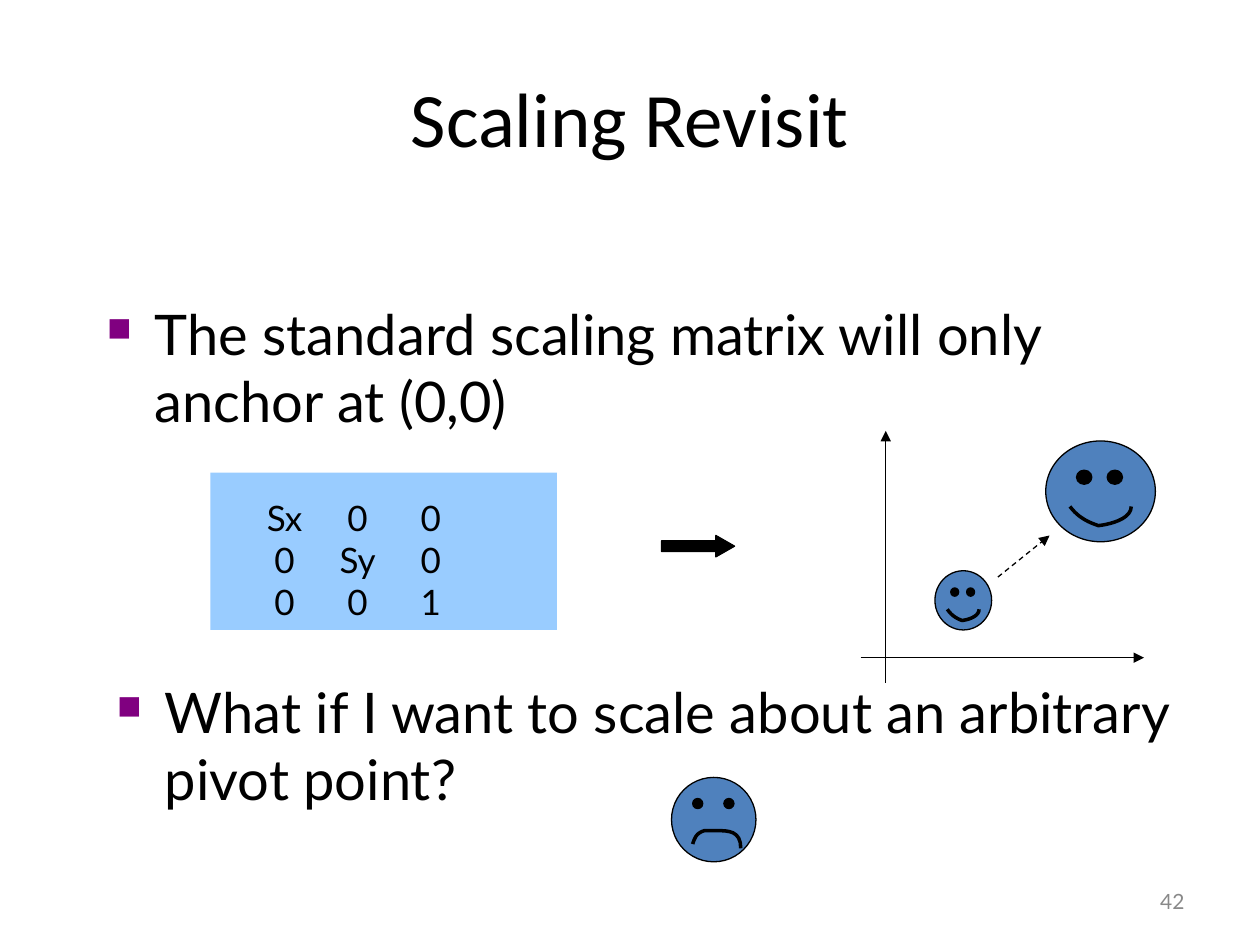
from dataclasses import dataclass

from lxml.etree import SubElement
from pptx import Presentation
from pptx.dml.color import RGBColor
from pptx.enum.dml import MSO_LINE
from pptx.enum.shapes import MSO_CONNECTOR, MSO_SHAPE
from pptx.enum.text import MSO_ANCHOR, PP_ALIGN
from pptx.oxml.ns import qn
from pptx.util import Inches, Pt


@dataclass(frozen=True)
class Theme:
    """Colours, fonts and sizes of the slide."""
    ink: RGBColor = RGBColor(0, 0, 0)
    face: RGBColor = RGBColor(0x4F, 0x81, 0xBD)
    panel: RGBColor = RGBColor(0x99, 0xCC, 0xFF)
    muted: RGBColor = RGBColor(0x89, 0x89, 0x89)
    bullet: str = "800080"
    title_font: str = "Calibri"
    body_font: str = "Lato"
    title: int = 44
    body: int = 32
    matrix: int = 20
    number: int = 12
    thin: float = 0.75
    thick: float = 2


THEME = Theme()
SMILE = [(0.22, 0.65), (0.29, 0.75), (0.37, 0.8), (0.48, 0.84),
         (0.57, 0.83), (0.78, 0.78), (0.78, 0.65)]
FROWN = [(0.25, 0.79), (0.28, 0.7), (0.3, 0.66), (0.39, 0.63),
         (0.6, 0.64), (0.82, 0.58), (0.82, 0.84)]
SMILE_EYES = (0.28, 0.56, 0.29, 0.14)
FROWN_EYES = (0.25, 0.62, 0.25, 0.12)


def add_shape(s, kind, box, fill, outlined=True):
    """Add a flat preset shape."""
    sp = s.shapes.add_shape(kind, *map(Inches, box))
    sp.shadow.inherit = False
    sp.fill.solid()
    sp.fill.fore_color.rgb = fill
    if outlined:
        sp.line.color.rgb = THEME.ink
        sp.line.width = Pt(THEME.thin)
    else:
        sp.line.fill.background()
    return sp


def add_text(s, box, text, size, font=THEME.body_font, color=THEME.ink,
             align=PP_ALIGN.LEFT, anchor=MSO_ANCHOR.TOP):
    """Add a wrapped one-paragraph text box and return its paragraph."""
    tf = s.shapes.add_textbox(*map(Inches, box)).text_frame
    tf.word_wrap = True
    tf.vertical_anchor = anchor
    p = tf.paragraphs[0]
    p.text = text
    p.alignment = align
    style(p, size, font, color)
    return p


def style(p, size, font=THEME.body_font, color=THEME.ink):
    """Set the font of a paragraph."""
    p.font.size = Pt(size)
    p.font.name = font
    p.font.color.rgb = color


def add_bullet(s, box, text):
    """Add a body statement with a hanging square bullet."""
    p = add_text(s, box, text, THEME.body)
    pPr = p._p.get_or_add_pPr()
    pPr.set("marL", str(Inches(0.38)))
    pPr.set("indent", str(-Inches(0.38)))
    clr = pPr.makeelement(qn("a:buClr"), {})
    SubElement(clr, qn("a:srgbClr"), val=THEME.bullet)
    size = pPr.makeelement(qn("a:buSzPct"), {"val": "60000"})
    char = pPr.makeelement(qn("a:buChar"), {"char": "■"})
    for i, el in enumerate((clr, size, char)):
        pPr.insert(i, el)


def add_matrix(s, box, rows):
    """Place the matrix on its panel, with columns on centred tab stops."""
    sp = add_shape(s, MSO_SHAPE.RECTANGLE, box, THEME.panel, outlined=False)
    tf = sp.text_frame
    tf.vertical_anchor = MSO_ANCHOR.TOP
    tf.margin_top = Inches(0.19)
    for i, row in enumerate(rows):
        p = tf.paragraphs[0] if i == 0 else tf.add_paragraph()
        p.text = "".join("\t" + cell for cell in row)
        p.alignment = PP_ALIGN.LEFT
        tabs = SubElement(p._p.get_or_add_pPr(), qn("a:tabLst"))
        for col in range(len(row)):
            SubElement(tabs, qn("a:tab"), pos=str(Inches(0.49 + 0.58 * col)), algn="ctr")
        style(p, THEME.matrix)


def add_arrow(s, start, end, dashed=False):
    """Add a thin straight arrow."""
    c = s.shapes.add_connector(MSO_CONNECTOR.STRAIGHT, *map(Inches, start + end))
    c.line.color.rgb = THEME.ink
    c.line.width = Pt(THEME.thin)
    if dashed:
        c.line.dash_style = MSO_LINE.DASH
    SubElement(c.line._get_or_add_ln(), qn("a:tailEnd"), type="triangle")
    SubElement(c._element.spPr, qn("a:effectLst"))


def curve(points, steps=10):
    """Return points along a chain of cubic Bezier curves."""
    out = [points[0]]
    for i in range(0, len(points) - 1, 3):
        for k in range(1, steps + 1):
            t = k / steps
            weights = ((1 - t) ** 3, 3 * t * (1 - t) ** 2, 3 * t * t * (1 - t), t ** 3)
            out.append(tuple(sum(w * pt[axis] for w, pt in zip(weights, points[i:i + 4]))
                             for axis in (0, 1)))
    return out


def add_face(s, box, mouth, eyes):
    """Draw a round face with two eyes and a curved mouth."""
    x, y, w, h = box
    left, right, top, size = eyes
    add_shape(s, MSO_SHAPE.OVAL, box, THEME.face)
    for eye in (left, right):
        add_shape(s, MSO_SHAPE.OVAL, (x + eye * w, y + top * h, size * w, size * h), THEME.ink)
    pts = [(Inches(x + u * w), Inches(y + v * h)) for u, v in curve(mouth)]
    fb = s.shapes.build_freeform(*pts[0])
    fb.add_line_segments(pts[1:], close=False)
    sp = fb.convert_to_shape()
    sp.shadow.inherit = False
    sp.fill.background()
    sp.line.color.rgb = THEME.ink
    sp.line.width = Pt(THEME.thick)


def add_plot(s, box):
    """Draw the axes and the small face scaled into the large one."""
    x, y, w, h = box
    add_arrow(s, (x + 0.2, y + h), (x + 0.2, y))
    add_arrow(s, (x, y + h - 0.2), (x + w, y + h - 0.2))
    add_face(s, (x + 0.59, y + 1.11, 0.45, 0.47), SMILE, SMILE_EYES)
    add_face(s, (x + 1.47, y + 0.08, 0.87, 0.8), SMILE, SMILE_EYES)
    add_arrow(s, (x + 1.09, y + 1.16), (x + 1.5, y + 0.83), dashed=True)


def build_slide(prs):
    """Build the scaling slide."""
    s = prs.slides.add_slide(prs.slide_layouts[6])
    add_text(s, (0.5, 0.3, 9, 1.25), "Scaling Revisit", THEME.title, THEME.title_font,
             align=PP_ALIGN.CENTER, anchor=MSO_ANCHOR.MIDDLE)
    add_bullet(s, (0.75, 2.33, 8.5, 4.5),
               "The standard scaling matrix will only anchor at (0,0)")
    add_matrix(s, (1.67, 3.75, 2.75, 1.25),
               [("Sx", "0", "0"), ("0", "Sy", "0"), ("0", "0", "1")])
    arrow = add_shape(s, MSO_SHAPE.RIGHT_ARROW, (5.25, 4.25, 0.58, 0.17), THEME.ink)
    arrow.adjustments[1] = 0.875
    add_plot(s, (6.83, 3.42, 2.25, 2))
    add_bullet(s, (0.83, 5.33, 8.75, 1.5),
               "What if I want to scale about an arbitrary pivot point?")
    add_face(s, (5.33, 6.17, 0.67, 0.67), FROWN, FROWN_EYES)
    add_text(s, (7.17, 6.95, 2.33, 0.4), "42", THEME.number, color=THEME.muted,
             align=PP_ALIGN.RIGHT, anchor=MSO_ANCHOR.MIDDLE)


def main():
    """Create and save the presentation."""
    prs = Presentation()
    prs.slide_width, prs.slide_height = Inches(10), Inches(7.5)
    build_slide(prs)
    prs.save("out.pptx")


if __name__ == "__main__":
    main()
